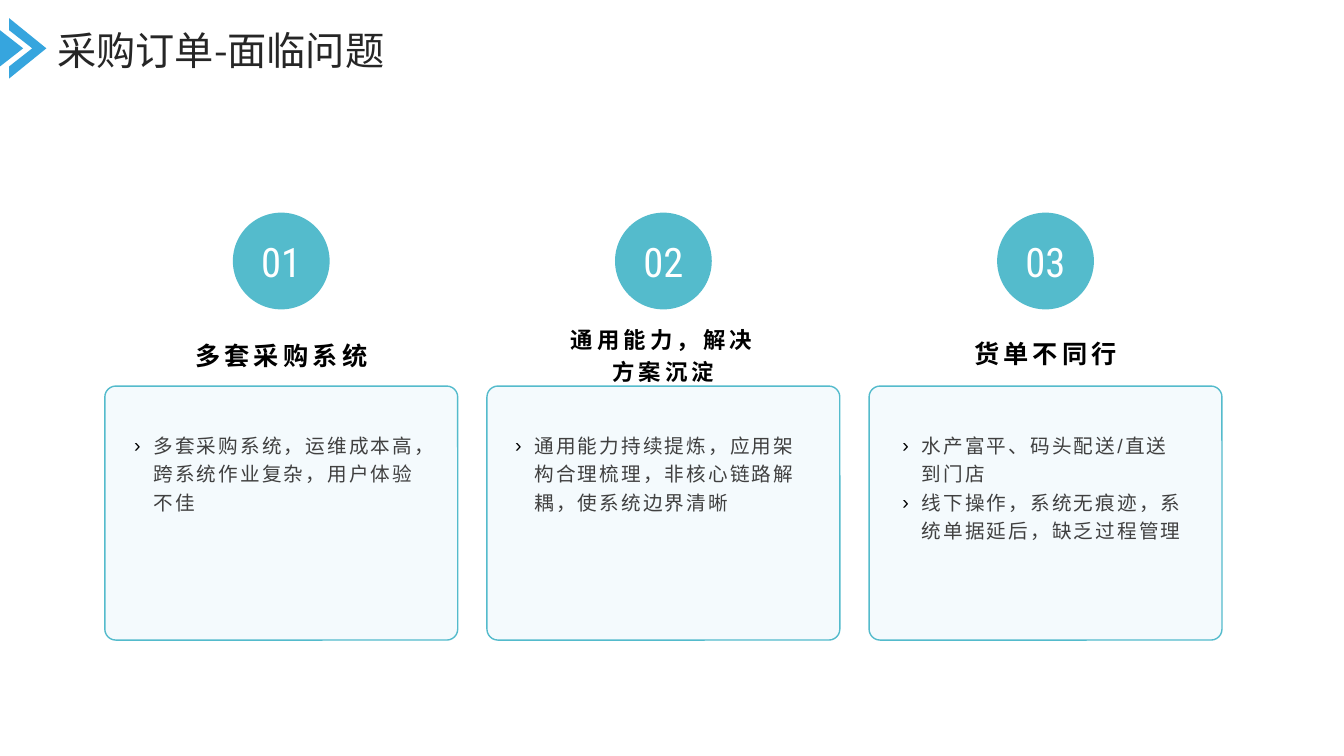
from lxml.etree import SubElement
from pptx import Presentation
from pptx.dml.color import RGBColor
from pptx.enum.shapes import MSO_SHAPE as SHAPE
from pptx.enum.text import MSO_ANCHOR as ANCHOR, MSO_AUTO_SIZE as AUTO, PP_ALIGN as ALIGN
from pptx.oxml.ns import qn
from pptx.util import Inches, Pt

COLORS = {"blue": "36A5DE", "teal": "54BBCC", "title": "262626",
          "body": "404040", "black": "000000", "white": "FFFFFF"}
COMPARISON = 4  # layout with a title and several body placeholders

# Column grid: left edge of the first card, column step, card size
LEFT, STEP, CARD_TOP, CARD_W, CARD_H = 1.04, 3.79, 3.83, 3.5, 2.52
CIRCLE = 0.96
HEAD_W, HEAD_H = 2.08, 0.8
LIST_W, LIST_H = 2.83, 2.15

COLUMNS = [
    {"head": "多套采购系统", "size": 18, "spacing": 1.2, "indent": 0.29,
     "items": ["多套采购系统，运维成本高，跨系统作业复杂，用户体验不佳"]},
    {"head": "通用能力，解决方案沉淀", "size": 16, "spacing": 1.2, "indent": 0.28,
     "items": ["通用能力持续提炼，应用架构合理梳理，非核心链路解耦，使系统边界清晰"]},
    {"head": "货单不同行", "size": 18, "spacing": 1.05, "indent": 0.33,
     "items": ["水产富平、码头配送/直送到门店",
               "线下操作，系统无痕迹，系统单据延后，缺乏过程管理"]},
]


def rgb(name):
    return RGBColor.from_string(COLORS[name])


def place(sp, x, y, w, h):
    sp.left, sp.top, sp.width, sp.height = (Inches(v) for v in (x, y, w, h))


def paint(sp, fill, line=None, alpha=None):
    sp.shadow.inherit = False
    sp.fill.solid()
    sp.fill.fore_color.rgb = rgb(fill)
    if alpha is not None:
        color = sp.element.spPr.find(qn("a:solidFill")).find(qn("a:srgbClr"))
        SubElement(color, qn("a:alpha"), val=str(alpha * 1000))
    if line:
        sp.line.color.rgb = rgb(line)
        sp.line.width = Pt(1)
    else:
        sp.line.fill.background()


def add_bullet(p):
    pPr = p._p.get_or_add_pPr()
    pPr.set("marL", str(Inches(0.19)))
    pPr.set("indent", str(-Inches(0.19)))
    color = SubElement(pPr, qn("a:buClr"))
    SubElement(color, qn("a:srgbClr"), val=COLORS["black"])
    SubElement(pPr, qn("a:buFont"), typeface="Arial")
    SubElement(pPr, qn("a:buChar"), char="›")


def write(sp, lines, *, size, color, font="Arial", bold=False, spc=0, spacing=1.0,
          align=ALIGN.LEFT, anchor=ANCHOR.TOP, inset=0.1, bullet=False, fit=AUTO.NONE):
    tf = sp.text_frame
    tf.word_wrap = True
    tf.auto_size = fit
    tf.vertical_anchor = anchor
    tf.margin_left = tf.margin_right = Inches(inset)
    tf.margin_top = tf.margin_bottom = Inches(0.05)
    for i, line in enumerate(lines):
        p = tf.add_paragraph() if i else tf.paragraphs[0]
        if bullet:
            add_bullet(p)
        p.alignment = align
        p.line_spacing = spacing
        p.space_before = Pt(0)
        r = p.add_run()
        r.text = line
        r.font.size = Pt(size)
        r.font.bold = bold
        r.font.color.rgb = rgb(color)
        r.font.name = font
        rPr = r._r.get_or_add_rPr()
        SubElement(rPr, qn("a:ea"), typeface=font)
        if spc:
            rPr.set("spc", str(int(spc * 100)))


def add_arrow(s, x, y, points):
    pts = [(Inches(x + dx), Inches(y + dy)) for dx, dy in points]
    builder = s.shapes.build_freeform(*pts[0])
    builder.add_line_segments(pts[1:], close=True)
    paint(builder.convert_to_shape(), "blue")


def add_header(s, x, y, w, h):
    # Arrow mark at the slide edge, then the title
    add_arrow(s, 0, 0.3, [(0, 0), (0.23, 0.18), (0, 0.36)])
    add_arrow(s, 0.09, 0.18, [(0, 0), (0.37, 0.3), (0, 0.6),
                              (0, 0.48), (0.23, 0.3), (0, 0.12)])
    title = s.shapes.title
    place(title, x, y, w, h)
    write(title, ["采购订单-面临问题"], size=28, color="title",
          font="Noto Sans CJK SC", fit=AUTO.SHAPE_TO_FIT_TEXT)


def add_column(s, number, column, body, x, y, w, h):
    # Card
    card = s.shapes.add_shape(SHAPE.ROUNDED_RECTANGLE, *map(Inches, (x, y, w, h)))
    card.adjustments[0] = 0.043
    paint(card, "blue", line="teal", alpha=5)
    # Numbered circle
    circle = s.shapes.add_shape(SHAPE.OVAL, *map(Inches, (
        x + (w - CIRCLE) / 2, y - 1.72, CIRCLE, CIRCLE)))
    paint(circle, "teal")
    write(circle, [f"{number:02d}"], size=29, color="white", font="Roboto Condensed",
          align=ALIGN.CENTER, anchor=ANCHOR.MIDDLE, inset=0)
    # Heading
    head = s.shapes.add_textbox(*map(Inches, (
        x + (w - HEAD_W) / 2, y - 0.73, HEAD_W, HEAD_H)))
    write(head, [column["head"]], size=column["size"], color="black", bold=True, spc=3,
          spacing=column["spacing"], align=ALIGN.CENTER, anchor=ANCHOR.MIDDLE)
    # List, brought in front of its card
    place(body, x + column["indent"], y + 0.38, LIST_W, LIST_H)
    write(body, column["items"], size=14, color="body", spc=1.5, spacing=1.2,
          inset=0, bullet=True)
    body.element.getparent().append(body.element)


def main():
    prs = Presentation()
    prs.slide_width, prs.slide_height = Inches(13.33), Inches(7.5)
    s = prs.slides.add_slide(prs.slide_layouts[COMPARISON])
    _, *bodies, spare = list(s.placeholders)
    spare.element.getparent().remove(spare.element)
    add_header(s, 0.47, 0.21, 3.5, 0.57)
    for i, (column, body) in enumerate(zip(COLUMNS, bodies)):
        add_column(s, i + 1, column, body, LEFT + i * STEP, CARD_TOP, CARD_W, CARD_H)
    prs.save("out.pptx")


if __name__ == "__main__":
    main()
